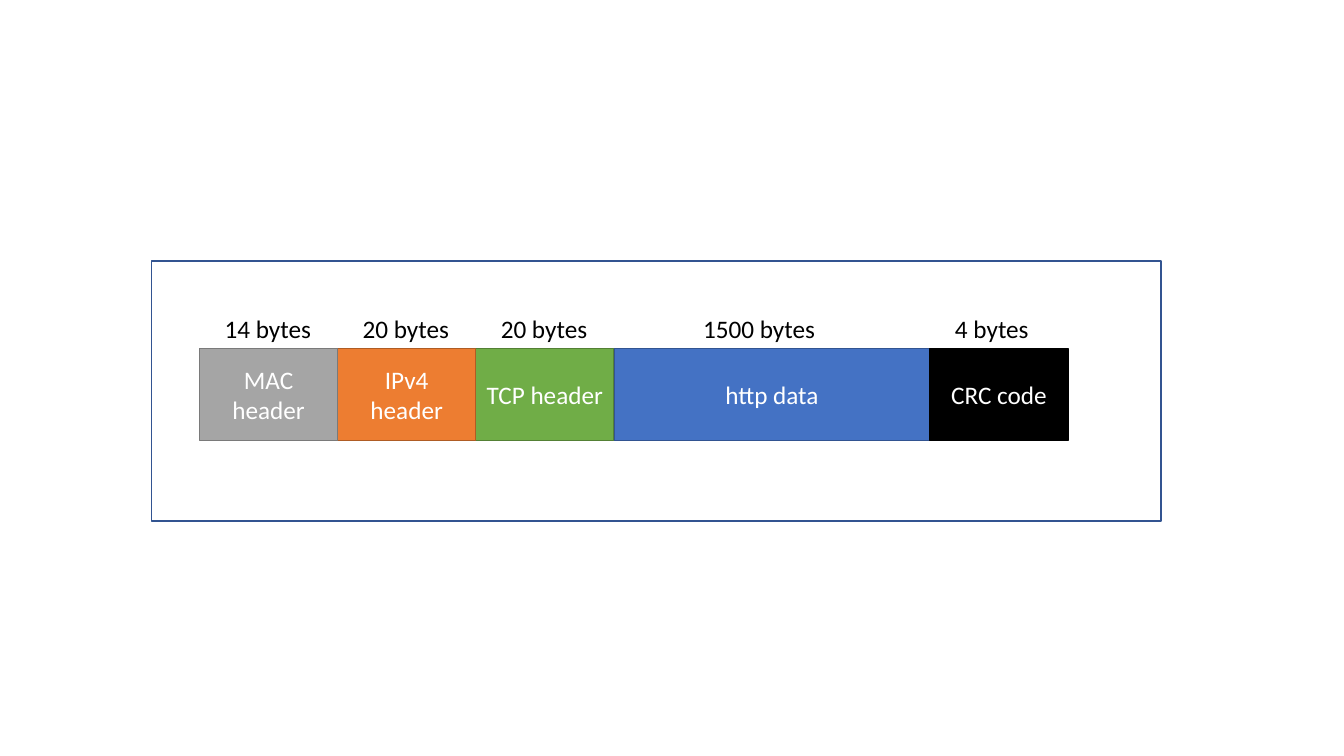
from pptx import Presentation
from pptx.dml.color import RGBColor
from pptx.enum import shapes, text
from pptx.util import Pt

WHITE = RGBColor(0xFF, 0xFF, 0xFF)
BLACK = RGBColor(0, 0, 0)
GREY = RGBColor(0xA5, 0xA5, 0xA5)
SLATE = RGBColor(0x7A, 0x7A, 0x7A)
ORANGE = RGBColor(0xED, 0x7D, 0x31)
RUST = RGBColor(0xAF, 0x5C, 0x24)
GREEN = RGBColor(0x70, 0xAD, 0x47)
MOSS = RGBColor(0x53, 0x80, 0x35)
BLUE = RGBColor(0x44, 0x72, 0xC4)
NAVY = RGBColor(0x32, 0x54, 0x91)

# Content: name, size, field width, label width, fill, line
FIELDS = [
    ("MAC header", "14 bytes", 98.64, 77.04, GREY, SLATE),
    ("IPv4 header", "20 bytes", 98.64, 77.04, ORANGE, RUST),
    ("TCP header", "20 bytes", 98.64, 77.04, GREEN, MOSS),
    ("http data", "1500 bytes", 225.8, 112.32, BLUE, NAVY),
    ("CRC code", "4 bytes", 98.64, 77.04, BLACK, BLACK),
]
STACK = [3, 2, 1, 0, 4]  # field indexes, back to front

# Layout
FRAME = (108, 186.48, 721.44, 185.76)
LEFT, TOP, HIGH = 142.56, 249.12, 65.52
LABEL = 28.8
FONT = {"name": "Calibri", "size": Pt(18)}


def write(shape, words, color, align):
    frame = shape.text_frame
    frame.word_wrap = True
    para = frame.paragraphs[0]
    para.alignment = align
    run = para.add_run()
    run.text = words
    for key, value in FONT.items():
        setattr(run.font, key, value)
    run.font.color.rgb = color
    return frame


def block(group, box, fill, line):
    shape = group.shapes.add_shape(shapes.MSO_SHAPE.RECTANGLE, *map(Pt, box))
    shape.shadow.inherit = False
    shape.fill.solid()
    shape.fill.fore_color.rgb = fill
    shape.line.color.rgb = line
    shape.line.width = Pt(1)
    return shape


def main():
    deck = Presentation()
    deck.slide_width, deck.slide_height = Pt(960), Pt(540)
    slide = deck.slides.add_slide(deck.slide_layouts[6])
    packet = slide.shapes.add_group_shape()
    block(packet, FRAME, WHITE, NAVY)

    # Fields sit side by side
    lefts = [LEFT + sum(f[2] for f in FIELDS[:i]) for i in range(len(FIELDS))]
    for i in STACK:
        name, _, wide, _, fill, line = FIELDS[i]
        shape = block(packet, (lefts[i], TOP, wide, HIGH), fill, line)
        frame = write(shape, name, WHITE, text.PP_ALIGN.CENTER)
        frame.vertical_anchor = text.MSO_ANCHOR.MIDDLE

    # Size labels are centred over their fields
    for left, (_, size, wide, span, _, _) in zip(lefts, FIELDS):
        box = (left + (wide - span) / 2, TOP - LABEL, span, LABEL)
        label = packet.shapes.add_textbox(*map(Pt, box))
        frame = write(label, size, BLACK, text.PP_ALIGN.LEFT)
        frame.auto_size = text.MSO_AUTO_SIZE.SHAPE_TO_FIT_TEXT

    deck.save("out.pptx")


if __name__ == "__main__":
    main()
